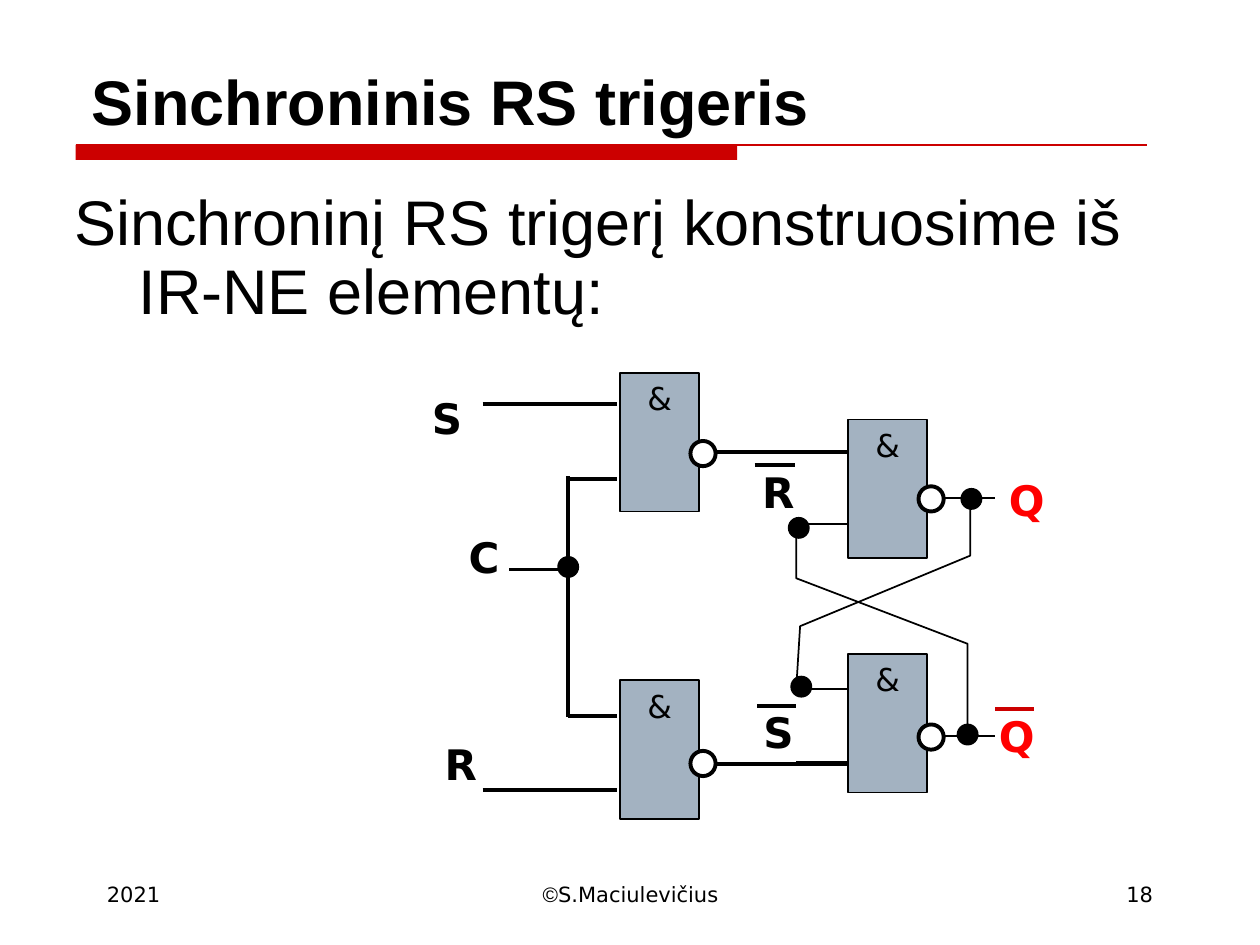
from pptx import Presentation
from pptx.dml.color import RGBColor
from pptx.enum.shapes import MSO_CONNECTOR, MSO_SHAPE
from pptx.enum.text import MSO_ANCHOR, MSO_AUTO_SIZE, PP_ALIGN
from pptx.oxml.ns import qn
from pptx.util import Inches, Pt
from lxml.etree import SubElement

BLACK, WHITE, RED, DARK_RED, GATE = "000000", "FFFFFF", "FF0000", "CC0000", "A3B2C1"
SANS = "DejaVu Sans"


def paint(shape, fill, line=None, width=1):
    """Set fill and outline; None means neither."""
    shape.shadow.inherit = False
    for part, color in ((shape.fill, fill), (shape.line.fill, line)):
        if color is None:
            part.background()
        else:
            part.solid()
            part.fore_color.rgb = RGBColor.from_string(color)
    if line:
        shape.line.width = Pt(width)


def write(frame, spans, size, color=BLACK, bold=False, align=PP_ALIGN.LEFT,
          wrap=True, anchor=MSO_ANCHOR.TOP, fit=MSO_AUTO_SIZE.NONE):
    """Write one paragraph made of (text, font name) spans."""
    frame_format = {"word_wrap": wrap, "vertical_anchor": anchor, "auto_size": fit}
    for name, value in frame_format.items():
        setattr(frame, name, value)
    para = frame.paragraphs[0]
    para.alignment = align
    for text, font_name in spans:
        span = para.add_run()
        span.text = text
        for name, value in {"name": font_name, "size": Pt(size), "bold": bold}.items():
            setattr(span.font, name, value)
        span.font.color.rgb = RGBColor.from_string(color)
    return para


deck = Presentation()
deck.slide_width, deck.slide_height = Inches(10), Inches(7.5)
page = deck.slides.add_slide(deck.slide_layouts[1])
shapes = page.shapes

# Title and body
title, body = page.placeholders
for box, place in ((title, (0.63, 0.33, 8.75, 0.82)), (body, (0.49, 1.47, 9, 1.35))):
    box.left, box.top, box.width, box.height = [Inches(v) for v in place]
write(title.text_frame, [("Sinchroninis RS trigeris", "Arial")], 36,
      bold=True, anchor=MSO_ANCHOR.BOTTOM)
para = write(body.text_frame,
             [("Sinchroninį RS trigerį konstruosime iš IR-NE elementų:", "Arial")], 36)
para.line_spacing = 0.9
para.space_before = Pt(0)
properties = para._p.get_or_add_pPr()
properties.set("marL", str(Inches(0.51)))
properties.set("indent", str(Inches(-0.51)))
SubElement(properties, qn("a:buNone"))

# Bar under the title
bar = shapes.add_shape(MSO_SHAPE.RECTANGLE, Inches(0.6), Inches(1.15), Inches(5.25), Inches(0.12))
paint(bar, DARK_RED)

# Gates
for left, top in ((4.92, 2.96), (4.92, 5.4), (6.73, 3.33), (6.73, 5.19)):
    gate = shapes.add_shape(MSO_SHAPE.RECTANGLE, Inches(left), Inches(top), Inches(0.63), Inches(1.1))
    paint(gate, GATE, BLACK)
    write(gate.text_frame, [("&", SANS)], 18, align=PP_ALIGN.CENTER, wrap=False)

# Straight wires, overbars and the title rule: x1, y1, x2, y2 by colour and width
line_groups = [
    (DARK_RED, 0.75, [(0.6, 1.15, 9.1, 1.15)]),
    (BLACK, 2.25, [
        (3.83, 3.21, 4.9, 3.21), (4.51, 3.8, 4.9, 3.8), (5.69, 3.59, 6.72, 3.59),
        (3.83, 6.27, 4.9, 6.27), (4.51, 5.68, 4.9, 5.68), (5.69, 6.06, 6.72, 6.06),
        (4.04, 4.52, 4.51, 4.52), (4.51, 3.78, 4.51, 5.69),
        (5.99, 3.69, 6.31, 3.69), (6.01, 5.6, 6.32, 5.6)]),
    (BLACK, 1, [
        (6.32, 4.16, 6.72, 4.16), (6.32, 3.58, 6.72, 3.58), (7.5, 3.95, 7.9, 3.95),
        (6.32, 6.05, 6.72, 6.05), (6.32, 5.47, 6.72, 5.47), (7.5, 5.84, 7.9, 5.84)]),
    (DARK_RED, 2.25, [(7.9, 5.63, 8.21, 5.63)]),
]
for color, width, lines in line_groups:
    for ends in lines:
        wire = shapes.add_connector(MSO_CONNECTOR.STRAIGHT, *[Inches(v) for v in ends])
        wire.line.color.rgb = RGBColor.from_string(color)
        wire.line.width = Pt(width)
        SubElement(wire._element.spPr, qn("a:effectLst"))

# Crossed feedback wires
for points in (
    [(6.32, 5.45), (6.35, 4.97), (7.7, 4.41), (7.7, 3.97)],
    [(6.32, 4.18), (6.32, 4.59), (7.68, 5.11), (7.68, 5.82)],
):
    corners = [(Inches(x), Inches(y)) for x, y in points]
    builder = shapes.build_freeform(*corners[0])
    builder.add_line_segments(corners[1:], close=False)
    paint(builder.convert_to_shape(), None, BLACK)

# Junction dots and inverter bubbles
circle_groups = [
    (0.16, BLACK, 1, [(4.43, 4.42), (7.63, 3.88), (7.6, 5.75), (6.28, 5.37), (6.26, 4.11)]),
    (0.2, WHITE, 2.25, [(7.29, 3.86), (7.29, 5.75), (5.48, 3.5), (5.48, 5.96)]),
]
for size, fill, width, places in circle_groups:
    for left, top in places:
        circle = shapes.add_shape(MSO_SHAPE.OVAL, Inches(left), Inches(top), Inches(size), Inches(size))
        paint(circle, fill, BLACK, width)

# Signal names
label_widths = {"R": 0.42, "S": 0.38, "C": 0.41, "Q": 0.46}
for text, left, top, color in (
    ("S", 3.33, 3.07, BLACK), ("C", 3.62, 4.17, BLACK), ("R", 3.43, 5.81, BLACK),
    ("R", 5.95, 3.65, BLACK), ("S", 5.96, 5.56, BLACK),
    ("Q", 7.91, 3.72, RED), ("Q", 7.83, 5.59, RED),
):
    label = shapes.add_textbox(Inches(left), Inches(top), Inches(label_widths[text]), Inches(0.5))
    write(label.text_frame, [(text, SANS)], 24, color, bold=True, wrap=False,
          fit=MSO_AUTO_SIZE.SHAPE_TO_FIT_TEXT)

# Footer
for spans, left, width, align in (
    ([("2021", SANS)], 0.75, 2.08, PP_ALIGN.LEFT),
    ([("©", "Arial"), ("S.Maciulevičius", SANS)], 3.42, 3.17, PP_ALIGN.CENTER),
    ([("18", SANS)], 7.17, 2.08, PP_ALIGN.RIGHT),
):
    footer = shapes.add_textbox(Inches(left), Inches(6.95), Inches(width), Inches(0.5))
    write(footer.text_frame, spans, 12, align=align)

deck.save("out.pptx")
